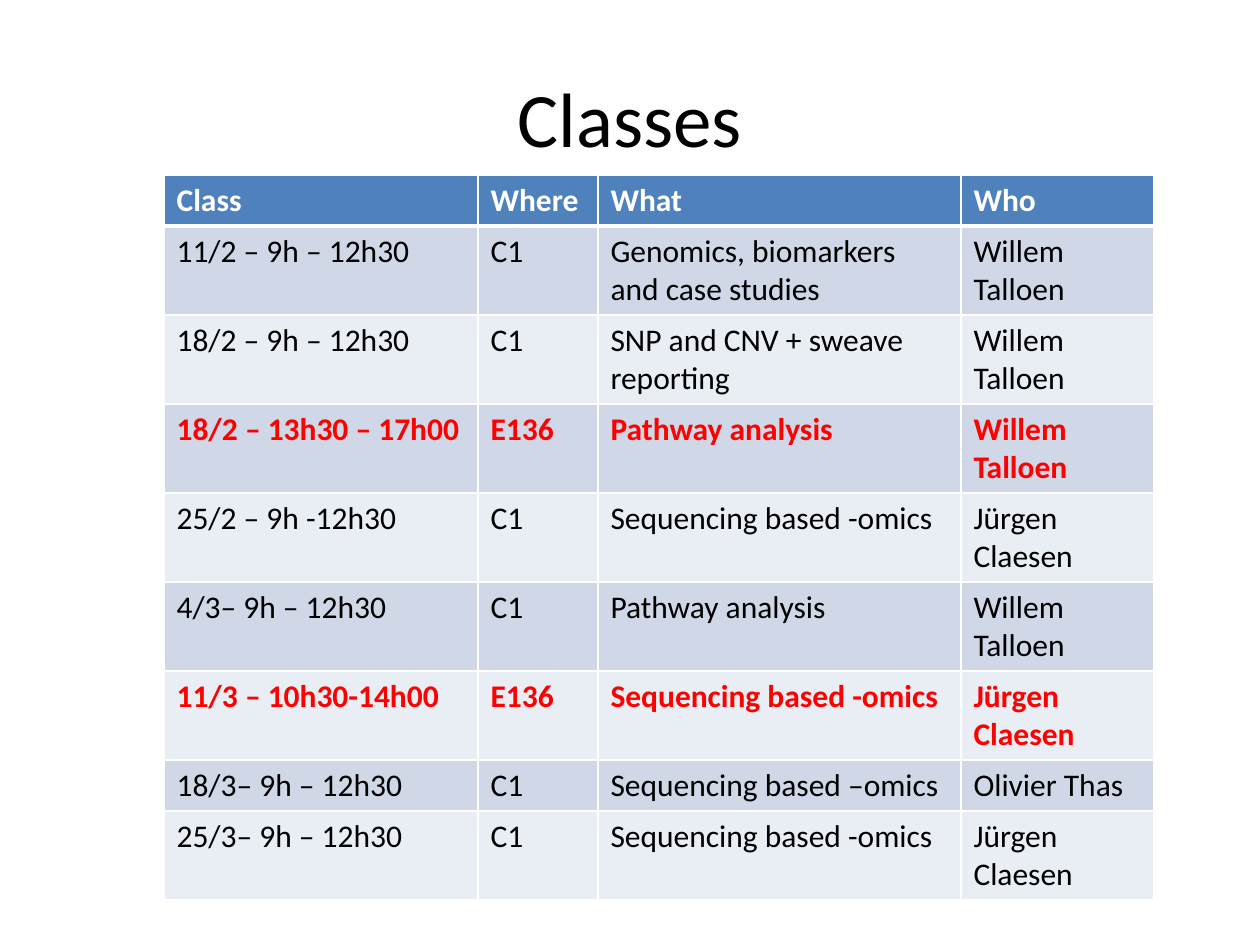
from dataclasses import dataclass

from lxml.etree import SubElement as Sub
from pptx import Presentation as Deck
from pptx.dml.color import RGBColor as Rgb
from pptx.enum.text import MSO_ANCHOR as Anchor, PP_ALIGN as Align
from pptx.oxml.ns import qn
from pptx.util import Pt

SCALE = 914400 / 126


def px(n):
    """Turn pixels into EMU."""
    return round(n * SCALE)


@dataclass(frozen=True)
class Theme:
    """Colours and type sizes."""
    font: str = "Calibri"
    big: int = 44
    body: int = 18
    ink: str = "000000"
    alert: str = "FF0000"
    light: str = "FFFFFF"
    head: str = "4F81BD"
    bands: tuple = ("D0D8E8", "E9EDF4")
    thin: int = 1
    thick: int = 3


class Page:
    """Draws elements on one slide in one style."""

    def __init__(self, slide, theme):
        """Keep the slide and the theme."""
        self.slide, self.theme = slide, theme

    def run(self, para, text, size, color, bold=False):
        """Add one styled run."""
        run = para.add_run()
        run.text = text
        font = run.font
        font.name, font.size, font.bold = self.theme.font, Pt(size), bold
        font.color.rgb = Rgb.from_string(color)

    def title(self, text, box):
        """Add the centred title."""
        frame = self.slide.shapes.add_textbox(*map(px, box)).text_frame
        frame.word_wrap = True
        frame.vertical_anchor = Anchor.MIDDLE
        para = frame.paragraphs[0]
        para.alignment = Align.CENTER
        self.run(para, text, self.theme.big, self.theme.ink)

    def edges(self, cell, top, bottom):
        """Draw the four borders of a cell."""
        props = cell._tc.get_or_add_tcPr()
        widths = {"L": self.theme.thin, "R": self.theme.thin,
                  "T": top, "B": bottom}
        for side, width in widths.items():
            line = Sub(props, qn("a:ln" + side), w=str(Pt(width)))
            fill = Sub(line, qn("a:solidFill"))
            Sub(fill, qn("a:srgbClr"), val=self.theme.light)

    def cell(self, cell, text, row, alert):
        """Fill one cell; row 0 is the header."""
        look = self.theme
        head = row == 0
        self.edges(cell, look.thick if row == 1 else look.thin,
                   look.thick if head else look.thin)
        back = look.head if head else look.bands[(row - 1) % 2]
        cell.fill.solid()
        cell.fill.fore_color.rgb = Rgb.from_string(back)
        color = look.light if head else look.alert if alert else look.ink
        self.run(cell.text_frame.paragraphs[0], text, look.body, color,
                 head or alert)

    def table(self, rows, left, top, widths, heights, alerts):
        """Add the table with its header, bands and alert rows."""
        grid = self.slide.shapes.add_table(
            len(rows), len(widths), px(left), px(top),
            px(sum(widths)), px(sum(heights))).table
        grid.horz_banding = False
        for col, width in zip(grid.columns, widths):
            col.width = px(width)
        for i, (texts, height) in enumerate(zip(rows, heights)):
            grid.rows[i].height = px(height)
            for j, text in enumerate(texts):
                self.cell(grid.cell(i, j), text, i, i in alerts)


CLASSES = [
    ("Class", "Where", "What", "Who"),
    ("11/2 – 9h – 12h30", "C1", "Genomics, biomarkers and case studies",
     "Willem Talloen"),
    ("18/2 – 9h – 12h30", "C1", "SNP and CNV + sweave reporting",
     "Willem Talloen"),
    ("18/2 – 13h30 – 17h00", "E136", "Pathway analysis", "Willem Talloen"),
    ("25/2 – 9h -12h30", "C1", "Sequencing based -omics", "Jürgen Claesen"),
    ("4/3– 9h – 12h30", "C1", "Pathway analysis", "Willem Talloen"),
    ("11/3 – 10h30-14h00", "E136", "Sequencing based -omics",
     "Jürgen Claesen"),
    ("18/3– 9h – 12h30", "C1", "Sequencing based –omics", "Olivier Thas"),
    ("25/3– 9h – 12h30", "C1", "Sequencing based -omics", "Jürgen Claesen"),
]
ONE, TWO = 51, 89  # row heights for one and two lines of text
SHORT = (0, 7)
MOVED = (3, 6)


def main():
    """Build and save the slide."""
    deck = Deck()
    deck.slide_width, deck.slide_height = px(1260), px(945)
    page = Page(deck.slides.add_slide(deck.slide_layouts[6]), Theme())
    page.title("Classes", (63, 38, 1134, 158))
    heights = [ONE if i in SHORT else TWO for i in range(len(CLASSES))]
    page.table(CLASSES, 164, 175, (314, 120, 363, 193), heights, MOVED)
    deck.save("out.pptx")


main()
